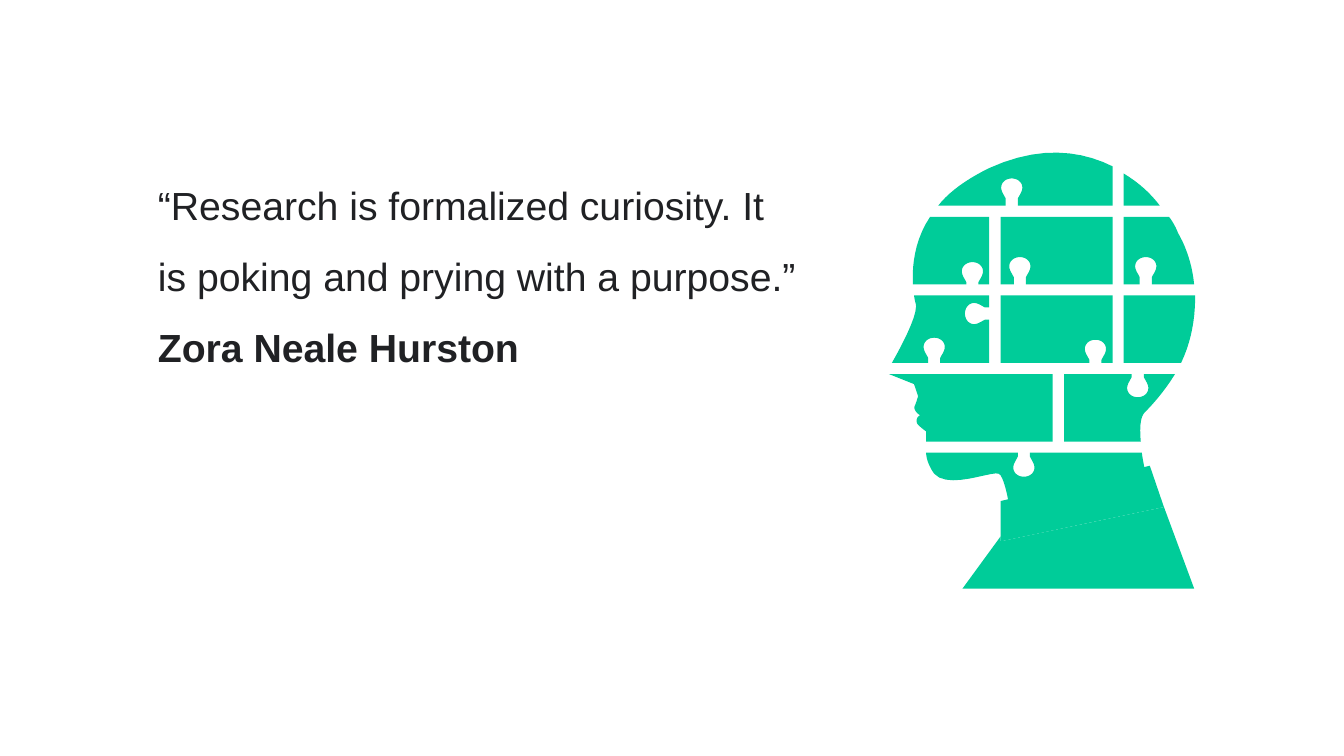
from dataclasses import dataclass

from pptx import Presentation
from pptx import util as u
from pptx.dml.color import RGBColor
from pptx.enum import text


@dataclass(frozen=True)
class Theme:
    ink: RGBColor = RGBColor(0x20, 0x21, 0x24)
    puzzle: RGBColor = RGBColor(0x00, 0xCC, 0x99)
    font: str = "Arial"
    quote_size: u.Pt = u.Pt(28)


@dataclass(frozen=True)
class Box:
    left: int
    top: int
    width: int
    height: int


THEME = Theme()
RIGHT, DOWN, LEFT = (1, 0), (0, 1), (-1, 0)

# The head is laid out on a grid this many units wide.
HEAD_UNITS = 304
SEAM = 11
FIRST_ROW_END, ROW_PITCH = 60, 78
ROW_ENDS = [FIRST_ROW_END + ROW_PITCH * row for row in range(4)]
ROW_STARTS = [end + SEAM for end in ROW_ENDS]
FACE_END, MIDDLE_START = 99.5, 111
JAW_END, NAPE_START = 162.5, 174
MIDDLE_END, BACK_START = 222, 233


def notch(x, y, depth, travel):
    """Segments of a knob-shaped hollow centred on an edge, met going clockwise."""
    along_x, along_y = travel

    def place(*pairs):
        return tuple(value for along, inward in pairs
                     for value in (x + along * along_x - inward * along_y,
                                   y + along * along_y + inward * along_x))

    neck, widest = depth - 20, depth - 9
    return [
        place((-6, 0)),
        place((-6, neck)),
        place((-8, neck + 4), (-10.5, neck + 7), (-10.5, widest)),
        place((-10.5, depth - 4), (-6, depth), (0, depth)),
        place((6, depth), (10.5, depth - 4), (10.5, widest)),
        place((10.5, neck + 7), (8, neck + 4), (6, neck)),
        place((6, 0)),
    ]


def head_pieces():
    """Clockwise outlines; two numbers make a line, six make a Bézier curve."""
    crown_end, brow_end, nose_end, mouth_end = ROW_ENDS
    brow, nose, mouth, chin = ROW_STARTS
    return [
        # Crown
        [(99, 23), (149, 0, 190, 5, MIDDLE_END, 21), (MIDDLE_END, crown_end),
         *notch(122, crown_end, 27, LEFT), (49, crown_end),
         (60, 46, 77, 34, 99, 23)],
        [(BACK_START, 28), (248, 37, 260, 48, 269, crown_end),
         (BACK_START, crown_end)],
        # Brow row
        [(41, brow), (FACE_END, brow), (FACE_END, brow_end),
         *notch(83, brow_end, 22, LEFT), (24, brow_end),
         (23, 121, 25, 95, 41, brow)],
        [(MIDDLE_START, brow), (MIDDLE_END, brow), (MIDDLE_END, brow_end),
         *notch(130, brow_end, 27, LEFT), (MIDDLE_START, brow_end)],
        [(BACK_START, brow), (278, brow), (282, 76, 285, 82, 287, 87),
         (295, 101, 301, 118, 303, brow_end),
         *notch(255, brow_end, 27, LEFT), (BACK_START, brow_end)],
        # Nose row
        [(25, nose), (FACE_END, nose), *notch(FACE_END, 167, 24, DOWN),
         (FACE_END, nose_end), *notch(45, nose_end, 25, LEFT), (3, nose_end),
         (3, 216, 27, 175, 27, 160), (27, 157, 26, 156, 25, nose)],
        [(MIDDLE_START, nose), (MIDDLE_END, nose), (MIDDLE_END, nose_end),
         *notch(205, nose_end, 23, LEFT), (MIDDLE_START, nose_end)],
        [(BACK_START, nose), (304, nose), (304, 170, 301, 193, 290, nose_end),
         (BACK_START, nose_end)],
        # Mouth row
        [(0, mouth), (JAW_END, mouth), (JAW_END, mouth_end), (37, mouth_end),
         (37, 284), (37, 284, 30, 279, 28, 276), (26, 270, 31, 268, 31, 268),
         (31, 268, 23, 263, 26, 258), (27, 256, 29, 249, 29, 249),
         (26, 240), (25, 237)],
        [(NAPE_START, mouth), *notch(247, mouth, 23, RIGHT), (284, mouth),
         (276, 240, 266, 253, 254, 265), (249, 270, 249, 282, 250, mouth_end),
         (NAPE_START, mouth_end)],
        # Chin, neck and shoulders
        [(37, chin), *notch(134, chin, 24, RIGHT), (251, chin),
         (253, 319, 256, 330, 256, 330), (120, 361),
         (120, 361, 115, 328, 109, 326), (102, 323, 59, 342, 45, 326),
         (40, 319, 37, 311, 37, chin)],
        [(MIDDLE_START, 393), (273, 359), (259, 318), (MIDDLE_START, 353)],
        [(303, 440), (273, 359), (MIDDLE_START, 393), (MIDDLE_START, 388),
         (73, 440)],
    ]


def trace(outline, steps=10):
    """Turn lines and Bézier curves into a list of points."""
    points = [outline[0]]
    for segment in outline[1:]:
        if len(segment) == 2:
            points.append(segment)
            continue
        controls = [points[-1], segment[:2], segment[2:4], segment[4:]]
        for step in range(1, steps + 1):
            t = step / steps
            weights = ((1 - t) ** 3, 3 * t * (1 - t) ** 2,
                       3 * t ** 2 * (1 - t), t ** 3)
            points.append(tuple(sum(w * c[axis] for w, c in zip(weights, controls))
                                for axis in (0, 1)))
    return points


def add_puzzle_head(slide, box):
    unit = box.width / HEAD_UNITS
    for outline in head_pieces():
        start, *rest = [(round(box.left + x * unit), round(box.top + y * unit))
                        for x, y in trace(outline)]
        builder = slide.shapes.build_freeform(*start)
        builder.add_line_segments(rest, close=True)
        piece = builder.convert_to_shape()
        piece.shadow.inherit = False
        piece.fill.solid()
        piece.fill.fore_color.rgb = THEME.puzzle
        piece.line.fill.background()


def add_quote(slide, box, words, author):
    quote = slide.shapes.add_textbox(box.left, box.top, box.width, box.height)
    frame = quote.text_frame
    frame.word_wrap = True
    frame.auto_size = text.MSO_AUTO_SIZE.SHAPE_TO_FIT_TEXT
    frame.text = f"{words}\n{author}"
    for paragraph in frame.paragraphs:
        paragraph.line_spacing = 1.5
        paragraph.font.name = THEME.font
        paragraph.font.size = THEME.quote_size
        paragraph.font.color.rgb = THEME.ink
    frame.paragraphs[-1].font.bold = True


def main():
    deck = Presentation()
    deck.slide_width, deck.slide_height = u.Cm(33.87), u.Cm(19.05)
    slide = deck.slides.add_slide(deck.slide_layouts[6])
    add_puzzle_head(slide, Box(u.Cm(22.4), u.Cm(3.66), u.Cm(7.72), u.Cm(11.18)))
    add_quote(slide, Box(u.Cm(3.73), u.Cm(3.86), u.Cm(16.76), u.Cm(7.26)),
              "“Research is formalized curiosity. It is poking and prying "
              "with a purpose.”",
              "Zora Neale Hurston")
    deck.save("out.pptx")


if __name__ == "__main__":
    main()
